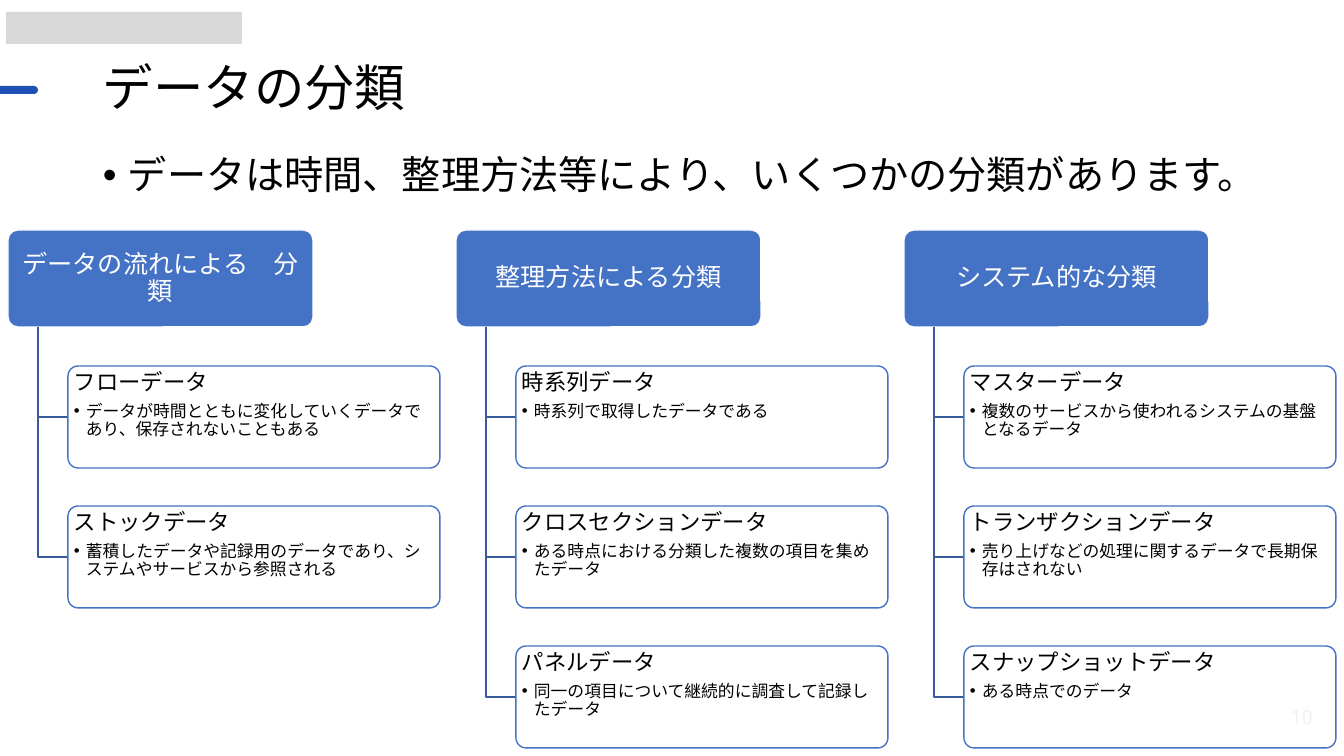
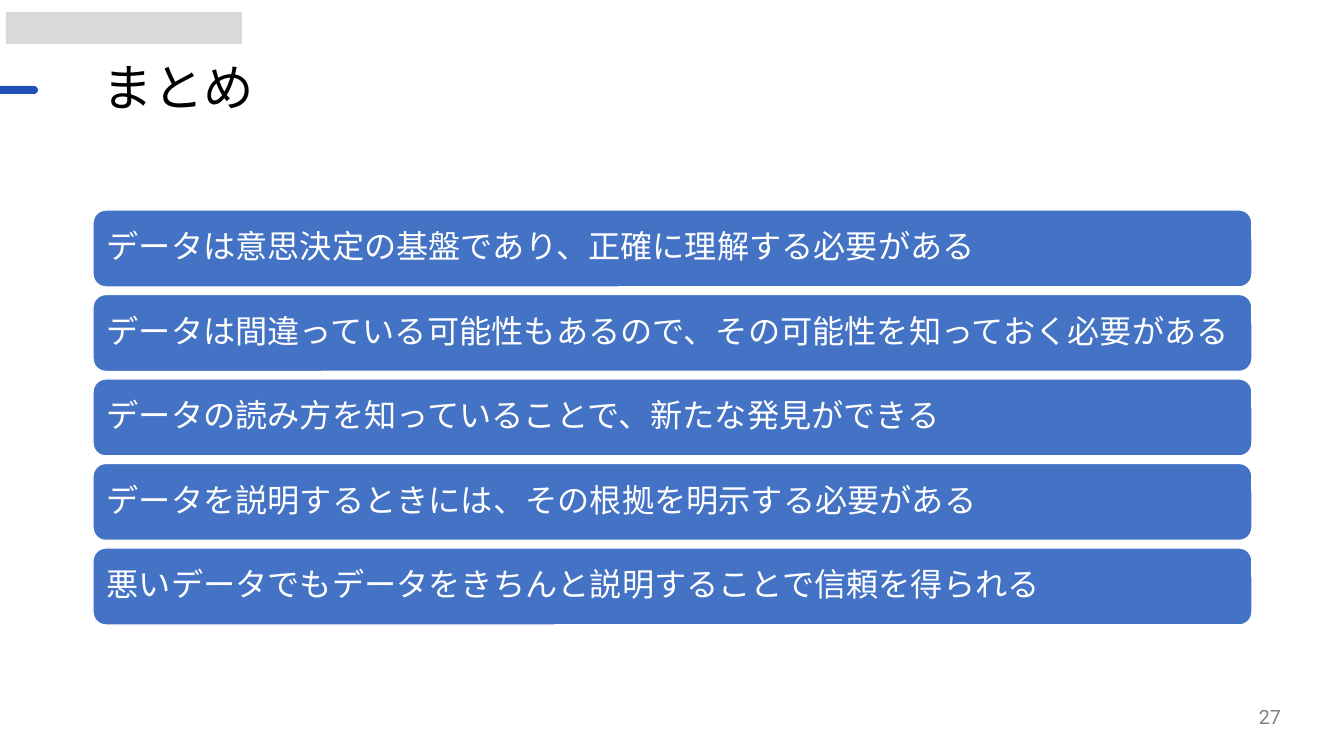
"""Build the data classification and summary slides."""
import pptx
import pptx.util
import pptx.dml.color
import pptx.enum.shapes
import pptx.enum.text
import pptx.oxml.ns
import lxml.etree

PX = 914400 / 100.8
CJK = "Noto Sans CJK JP"
SHAPE = pptx.enum.shapes.MSO_SHAPE
ALIGN = pptx.enum.text.PP_ALIGN
ANCHOR = pptx.enum.text.MSO_ANCHOR
COLORS = {"black": "000000", "white": "FFFFFF", "blue": "4472C4", "elbow": "365B9D",
          "bar": "1E50B5", "plate": "D9D9D9", "number": "808080"}
FORMATS = {
    "title": {"size": 36, "name": "Roboto", "color": "black", "line_spacing": 0.9,
              "alignment": ALIGN.LEFT},
    "number": {"size": 14, "name": "Roboto", "color": "number", "alignment": ALIGN.RIGHT},
    "lead": {"size": 28, "name": CJK, "color": "black", "line_spacing": 0.9,
             "space_before": 10, "bullet": 25},
    "header": {"size": 18, "name": CJK, "color": "white", "line_spacing": 0.9,
               "alignment": ALIGN.CENTER},
    "term": {"size": 16, "name": CJK, "color": "black", "line_spacing": 0.9,
             "space_after": 5.6, "alignment": ALIGN.LEFT},
    "detail": {"size": 12, "name": CJK, "color": "black", "line_spacing": 0.9,
               "bullet": 12, "alignment": ALIGN.LEFT},
    "point": {"size": 23, "name": CJK, "color": "white", "line_spacing": 0.9,
              "alignment": ALIGN.LEFT},
}
GROUPS = [
    ("データの流れによる　分類", [
        ("フローデータ", "データが時間とともに変化していくデータであり、保存されないこともある"),
        ("ストックデータ", "蓄積したデータや記録用のデータであり、システムやサービスから参照される"),
    ]),
    ("整理方法による分類", [
        ("時系列データ", "時系列で取得したデータである"),
        ("クロスセクションデータ", "ある時点における分類した複数の項目を集めたデータ"),
        ("パネルデータ", "同一の項目について継続的に調査して記録したデータ"),
    ]),
    ("システム的な分類", [
        ("マスターデータ", "複数のサービスから使われるシステムの基盤となるデータ"),
        ("トランザクションデータ", "売り上げなどの処理に関するデータで長期保存はされない"),
        ("スナップショットデータ", "ある時点でのデータ"),
    ]),
]
POINTS = [
    "データは意思決定の基盤であり、正確に理解する必要がある",
    "データは間違っている可能性もあるので、その可能性を知っておく必要がある",
    "データの読み方を知っていることで、新たな発見ができる",
    "データを説明するときには、その根拠を明示する必要がある",
    "悪いデータでもデータをきちんと説明することで信頼を得られる",
]


def px(n):
    """Turn px into EMU."""
    return pptx.util.Emu(round(n * PX))


def rgb(name):
    """Look up a colour."""
    return pptx.dml.color.RGBColor.from_string(COLORS[name])


def add_child(parent, tag, **attrs):
    """Append a drawing element with attributes."""
    return lxml.etree.SubElement(parent, pptx.oxml.ns.qn(tag), attrs)


def write(tf, lines, anchor=ANCHOR.TOP, inset=(10, 5)):
    """Write (format name, text) lines into a text frame."""
    h, v = map(px, inset)
    frame = {"word_wrap": True, "auto_size": pptx.enum.text.MSO_AUTO_SIZE.NONE,
             "vertical_anchor": anchor, "margin_left": h, "margin_right": h,
             "margin_top": v, "margin_bottom": v}
    for key, value in frame.items():
        setattr(tf, key, value)
    for i, (style, text) in enumerate(lines):
        p = tf.add_paragraph() if i else tf.paragraphs[0]
        r = p.add_run()
        r.text = text
        for key, value in FORMATS[style].items():
            if key == "color":
                r.font.color.rgb = rgb(value)
            elif key == "bullet":
                pPr = p._p.get_or_add_pPr()
                pPr.set("marL", str(px(value)))
                pPr.set("indent", str(-px(value)))
                add_child(pPr, "a:buFont", typeface="Arial")
                add_child(pPr, "a:buChar", char="•")
            elif key in ("size", "space_before", "space_after"):
                setattr(r.font if key == "size" else p, key, pptx.util.Pt(value))
            else:
                setattr(r.font if key == "name" else p, key, value)
        add_child(r._r.get_or_add_rPr(), "a:ea", typeface=CJK)


def add_text(s, box, lines, **frame):
    """Add a text box."""
    sp = s.shapes.add_textbox(*map(px, box))
    write(sp.text_frame, lines, **frame)


def add_box(s, box, fill, line=None, adj=None, kind=SHAPE.ROUNDED_RECTANGLE):
    """Add a filled shape with an optional outline and corner radius."""
    sp = s.shapes.add_shape(kind, *map(px, box))
    sp.shadow.inherit = False
    sp.fill.solid()
    sp.fill.fore_color.rgb = rgb(fill)
    if line:
        sp.line.color.rgb = rgb(line)
        sp.line.width = pptx.util.Pt(1)
    else:
        sp.line.fill.background()
    if adj is not None:
        sp.adjustments[0] = adj
    return sp


def add_elbow(s, x, top, bottom, width):
    """Draw the line from a header down and across to a card."""
    fb = s.shapes.build_freeform(px(x), px(top))
    fb.add_line_segments([(px(x), px(bottom)), (px(x + width), px(bottom))], close=False)
    sp = fb.convert_to_shape()
    sp.shadow.inherit = False
    sp.fill.background()
    sp.line.color.rgb = rgb("elbow")
    sp.line.width = pptx.util.Pt(1)


def add_card(s, box, term, detail):
    """Add a translucent card with a term and its explanation."""
    sp = add_box(s, box, "white", "blue", 0.1)
    clr = sp._element.spPr.find(".//" + pptx.oxml.ns.qn("a:srgbClr"))
    add_child(clr, "a:alpha", val="90000")
    write(sp.text_frame, [("term", term), ("detail", detail)], inset=(3, 2))


def add_group(s, x, y, header, cards):
    """Add a header with its column of linked cards."""
    head_h, card_h, first, pitch = 97, 102, 136, 140
    sp = add_box(s, (x, y, 305, head_h), "blue", "white", 0.1)
    write(sp.text_frame, [("header", header)], anchor=ANCHOR.MIDDLE, inset=(4, 3))
    for i, (term, detail) in enumerate(cards):
        top = y + first + i * pitch
        add_elbow(s, x + 30, y + head_h, top + card_h // 2, 30)
        add_card(s, (x + 60, top, 372, card_h), term, detail)


def add_base(prs, title, number, number_x):
    """Add a slide with the shared plate, bar, title and page number."""
    s = prs.slides.add_slide(prs.slide_layouts[5])
    add_box(s, (6, 12, 236, 32), "plate", kind=SHAPE.RECTANGLE)
    add_box(s, (-10, 86, 48, 8), "bar", adj=0.5)
    sp = s.shapes.title
    for key, value in zip(("left", "top", "width", "height"), (93, 57, 1159, 66)):
        setattr(sp, key, px(value))
    write(sp.text_frame, [("title", title)], anchor=ANCHOR.MIDDLE)
    add_text(s, (number_x, 697, 302, 40), [("number", number)], anchor=ANCHOR.MIDDLE)
    return s


def classification_slide(prs):
    """Show three ways of classifying data."""
    s = add_base(prs, "データの分類", "10", 1021)
    add_text(s, (93, 151, 1159, 60),
             [("lead", "データは時間、整理方法等により、いくつかの分類があります。")])
    for i, (header, cards) in enumerate(GROUPS):
        add_group(s, 8 + i * 448, 230, header, cards)


def summary_slide(prs):
    """List the closing points as bars."""
    s = add_base(prs, "まとめ", "27", 989)
    x, y, w, h, gap = 93, 210, 1159, 77, 7.5
    for i, point in enumerate(POINTS):
        sp = add_box(s, (x, y + i * (h + gap), w, h), "blue", "white")
        write(sp.text_frame, [("point", point)], anchor=ANCHOR.MIDDLE, inset=(10, 10))


def main():
    """Build and save the deck."""
    prs = pptx.Presentation()
    prs.slide_width, prs.slide_height = px(1344), px(756)
    classification_slide(prs)
    summary_slide(prs)
    prs.save("out.pptx")


if __name__ == "__main__":
    main()
